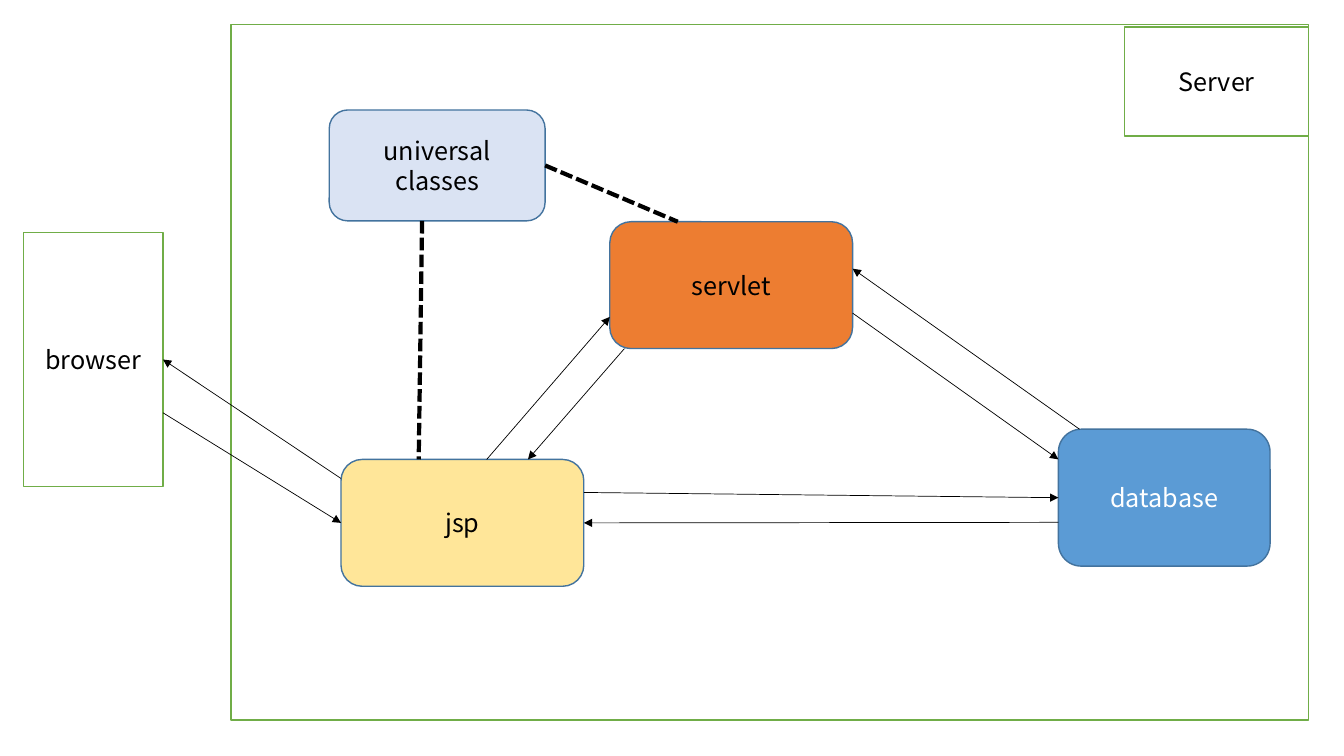
from lxml import etree
from pptx import Presentation
from pptx.dml.color import RGBColor
from pptx.enum.dml import MSO_LINE
from pptx.enum.shapes import MSO_CONNECTOR, MSO_SHAPE
from pptx.enum.text import MSO_ANCHOR, PP_ALIGN
from pptx.oxml.ns import qn
from pptx.util import Inches, Pt

RECT = MSO_SHAPE.RECTANGLE
ROUNDED = MSO_SHAPE.ROUNDED_RECTANGLE
STRAIGHT = MSO_CONNECTOR.STRAIGHT
DASH = MSO_LINE.SQUARE_DOT
MIDDLE = MSO_ANCHOR.MIDDLE
CENTER = PP_ALIGN.CENTER
FONT = "Noto Sans CJK SC"
BLACK, WHITE, GREEN, BLUE = "000000", "FFFFFF", "70AD47", "43739E"

deck = Presentation()
deck.slide_width, deck.slide_height = Inches(13.33), Inches(7.5)
page = deck.slides.add_slide(deck.slide_layouts[6])
COLUMN, ROW = deck.slide_width / 160, deck.slide_height / 90


def color(hex_text):
    return RGBColor.from_string(hex_text)


def point_on(box, across, down):
    """Return the point at the given shares of a box's width and height."""
    return int(box.left + across * box.width), int(box.top + down * box.height)


# text, kind, (column, row, columns, rows), fill, outline, text color
BOXES = [
    ("", RECT, (27.5, 2.9, 128.3, 82.8), WHITE, GREEN, BLACK),
    ("Server", RECT, (133.9, 3.2, 21.9, 13), WHITE, GREEN, BLACK),
    ("browser", RECT, (2.8, 27.7, 16.6, 30.2), WHITE, GREEN, BLACK),
    ("universal classes", ROUNDED, (39.2, 13.1, 25.7, 13.2), "DAE3F3", BLUE, BLACK),
    ("servlet", ROUNDED, (72.6, 26.4, 28.9, 15.1), "ED7D31", BLUE, BLACK),
    ("jsp", ROUNDED, (40.6, 54.7, 28.9, 15.1), "FFE699", BLUE, BLACK),
    ("database", ROUNDED, (126, 51.1, 25.2, 16.3), "5B9BD5", BLUE, WHITE),
]
boxes = {}
for text, kind, (column, row, columns, rows), fill, outline, text_color in BOXES:
    box = page.shapes.add_shape(kind, int(column * COLUMN), int(row * ROW),
                                int(columns * COLUMN), int(rows * ROW))
    box.shadow.inherit = False
    box.fill.solid()
    box.fill.fore_color.rgb = color(fill)
    box.line.color.rgb = color(outline)
    box.line.width = Pt(1)
    boxes[text] = box
    if text:
        frame = box.text_frame
        frame.text = text
        frame.word_wrap = True
        frame.vertical_anchor = MIDDLE
        para = frame.paragraphs[0]
        para.alignment = CENTER
        font = para.runs[0].font
        font.name, font.size = FONT, Pt(18)
        font.color.rgb = color(text_color)

# start box, share across and down, end box, share across and down, dashed
LINKS = [
    ("browser", 1, 0.71, "jsp", 0, 0.5, False),
    ("jsp", 0, 0.15, "browser", 1, 0.5, False),
    ("jsp", 0.6, 0, "servlet", 0, 0.75, False),
    ("servlet", 0.06, 1, "jsp", 0.77, 0, False),
    ("servlet", 1, 0.72, "database", 0, 0.22, False),
    ("database", 0.1, 0, "servlet", 1, 0.37, False),
    ("jsp", 1, 0.26, "database", 0, 0.5, False),
    ("database", 0, 0.68, "jsp", 1, 0.5, False),
    ("universal classes", 0.43, 1, "jsp", 0.32, 0, True),
    ("universal classes", 1, 0.5, "servlet", 0.28, 0, True),
]
for start, start_x, start_y, end, end_x, end_y, dashed in LINKS:
    link = page.shapes.add_connector(STRAIGHT,
                                     *point_on(boxes[start], start_x, start_y),
                                     *point_on(boxes[end], end_x, end_y))
    link.line.color.rgb = color(BLACK)
    link.line.width = Pt(3 if dashed else 0.5)
    if dashed:
        link.line.dash_style = DASH
    else:
        outline = link.line._get_or_add_ln()
        etree.SubElement(outline, qn("a:tailEnd"), type="triangle")
    etree.SubElement(link._element.spPr, qn("a:effectLst"))

deck.save("out.pptx")
